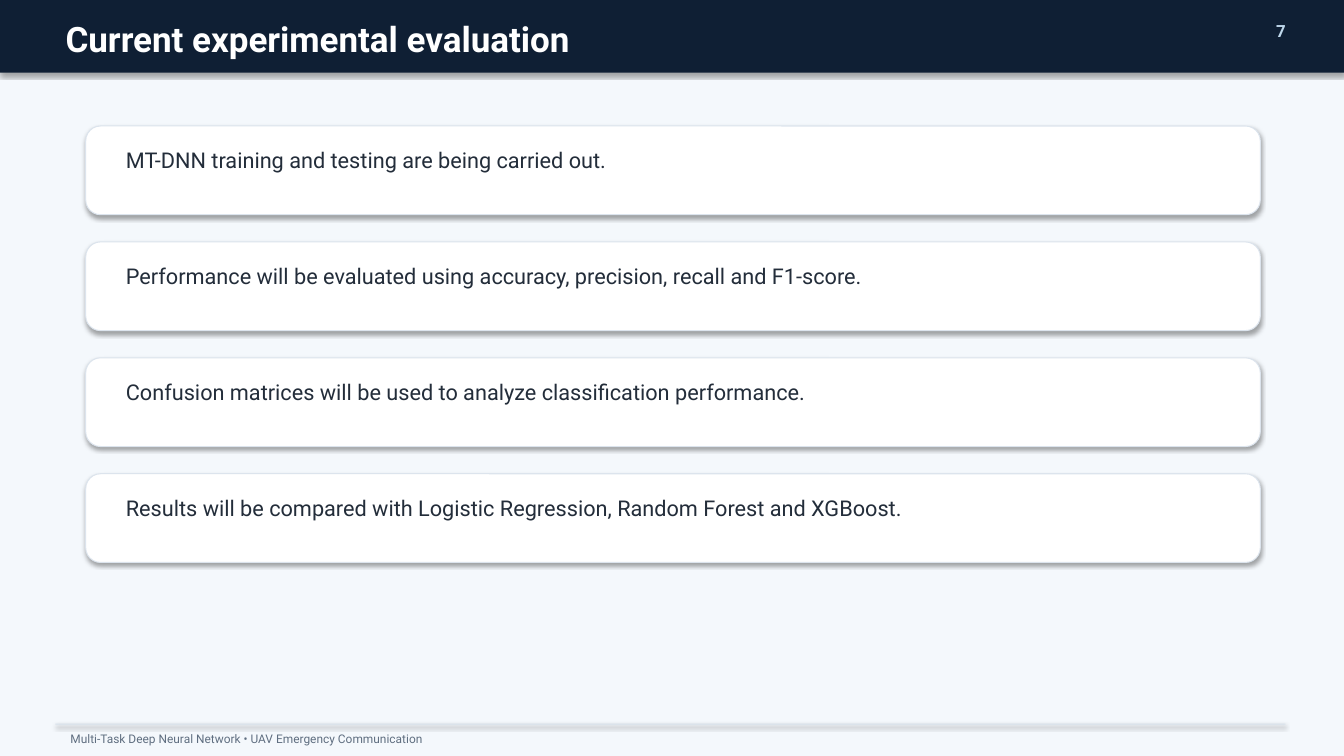
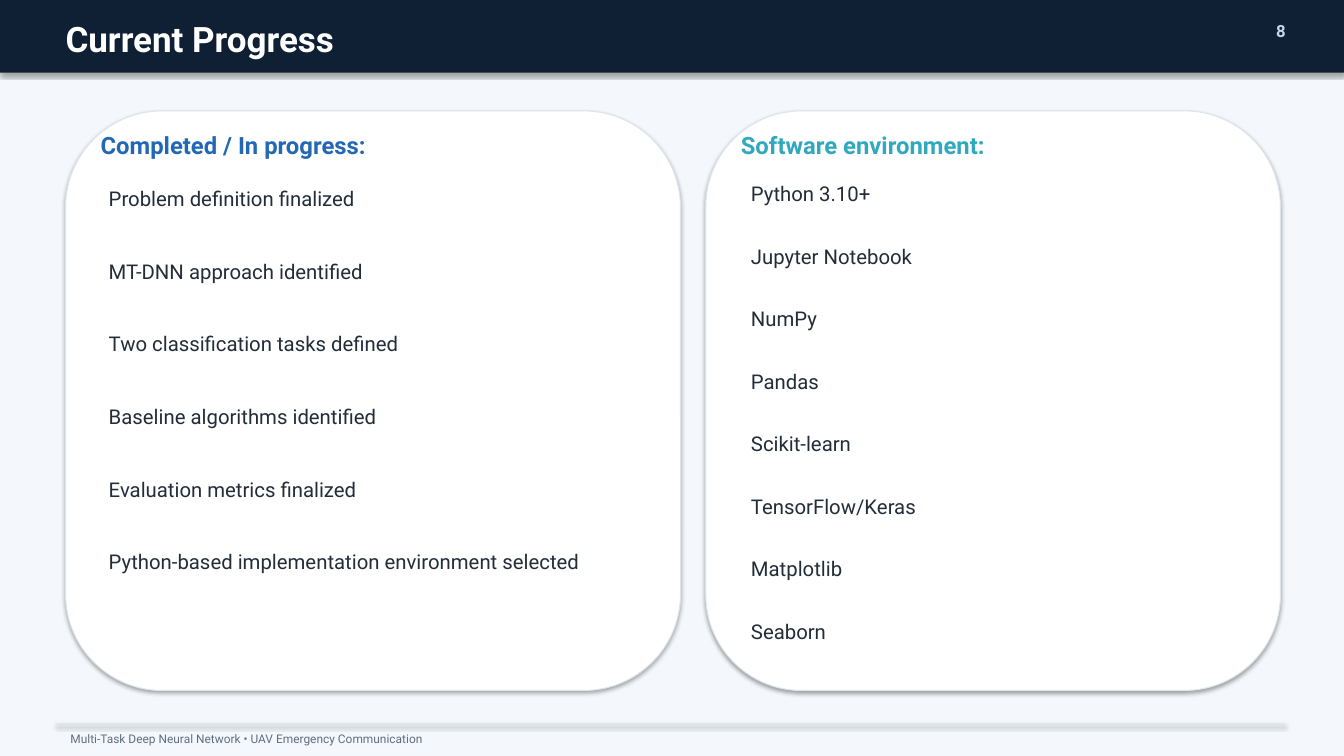
from dataclasses import dataclass

from pptx import Presentation
from pptx.dml.color import RGBColor
from pptx.enum.shapes import MSO_SHAPE
from pptx.enum.text import MSO_ANCHOR, MSO_AUTO_SIZE, PP_ALIGN
from pptx.shapes.autoshape import Shape
from pptx.slide import Slide
from pptx.util import Inches, Pt

RECTANGLE = MSO_SHAPE.RECTANGLE
ROUNDED = MSO_SHAPE.ROUNDED_RECTANGLE
TOP = MSO_ANCHOR.TOP
FIT_SHAPE = MSO_AUTO_SIZE.SHAPE_TO_FIT_TEXT
LEFT, RIGHT = PP_ALIGN.LEFT, PP_ALIGN.RIGHT

FONT = "Roboto"
PAPER, NAVY, WHITE = "F4F8FC", "0F1F34", "FFFFFF"
INK, MUTED, PALE_BLUE = "232D3A", "5F6E80", "BED7EB"
RULE, CARD_EDGE = "D7E1EB", "DCE4ED"
BLUE, TEAL = "2268B4", "30A8BE"

WIDTH, HEIGHT = 13.33, 7.5
TITLE_ONLY = 5
FOOTER = "Multi-Task Deep Neural Network • UAV Emergency Communication"


@dataclass(frozen=True)
class Area:
    left: float
    top: float
    width: float
    height: float


@dataclass(frozen=True)
class TextStyle:
    size: float
    color: str
    bold: bool = False
    align: PP_ALIGN = LEFT


@dataclass(frozen=True)
class Panel:
    card: Area
    heading: str
    accent: str
    first_item: Area
    pitch: float
    items: tuple[str, ...]


TITLE_STYLE = TextStyle(25, WHITE, bold=True)
NUMBER_STYLE = TextStyle(12, PALE_BLUE, bold=True, align=RIGHT)
FOOTER_STYLE = TextStyle(8.5, MUTED)
STATEMENT_STYLE = TextStyle(15.5, INK)
ITEM_STYLE = TextStyle(14.5, INK)

STATEMENTS = (
    "MT-DNN training and testing are being carried out.",
    "Performance will be evaluated using accuracy, precision, recall and F1-score.",
    "Confusion matrices will be used to analyze classification performance.",
    "Results will be compared with Logistic Regression, Random Forest and XGBoost.",
)

PANELS = (
    Panel(
        Area(0.65, 1.1, 6.1, 5.75), "Completed / In progress:", BLUE,
        Area(0.98, 1.8, 5.45, 0.48), 0.72,
        (
            "Problem definition finalized",
            "MT-DNN approach identified",
            "Two classification tasks defined",
            "Baseline algorithms identified",
            "Evaluation metrics finalized",
            "Python-based implementation environment selected",
        ),
    ),
    Panel(
        Area(7, 1.1, 5.7, 5.75), "Software environment:", TEAL,
        Area(7.35, 1.75, 4.9, 0.42), 0.62,
        (
            "Python 3.10+",
            "Jupyter Notebook",
            "NumPy",
            "Pandas",
            "Scikit-learn",
            "TensorFlow/Keras",
            "Matplotlib",
            "Seaborn",
        ),
    ),
)


def rgb(color: str) -> RGBColor:
    return RGBColor.from_string(color)


def place(shape: Shape, area: Area) -> None:
    shape.left, shape.top = Inches(area.left), Inches(area.top)
    shape.width, shape.height = Inches(area.width), Inches(area.height)


def write(box: Shape, text: str, style: TextStyle) -> None:
    frame = box.text_frame
    frame.text = text
    frame.word_wrap = True
    frame.auto_size = FIT_SHAPE
    frame.vertical_anchor = TOP
    para = frame.paragraphs[0]
    para.alignment = style.align
    para.font.name = FONT
    para.font.size = Pt(style.size)
    para.font.bold = style.bold
    para.font.color.rgb = rgb(style.color)


def add_text(page: Slide, area: Area, text: str, style: TextStyle) -> None:
    box = page.shapes.add_textbox(0, 0, 0, 0)
    place(box, area)
    write(box, text, style)


def add_block(page: Slide, kind: MSO_SHAPE, area: Area, fill: str, edge: str | None = None) -> Shape:
    """Add a filled shape that keeps the theme's soft shadow."""
    block = page.shapes.add_shape(kind, 0, 0, 0, 0)
    place(block, area)
    block.fill.solid()
    block.fill.fore_color.rgb = rgb(fill)
    if edge:
        block.line.color.rgb = rgb(edge)
        block.line.width = Pt(0.75)
    else:
        block.line.fill.background()
    return block


def add_card(page: Slide, area: Area) -> None:
    add_block(page, ROUNDED, area, WHITE, CARD_EDGE)


def add_page(deck: Presentation, title: str, number: int) -> Slide:
    """Add a slide with the shared title band, page number and footer."""
    page = deck.slides.add_slide(deck.slide_layouts[TITLE_ONLY])
    band = add_block(page, RECTANGLE, Area(0, 0, WIDTH, 0.72), NAVY)
    heading = page.shapes.title
    place(heading, Area(0.55, 0.12, 11.5, 0.42))
    write(heading, title, TITLE_STYLE)
    band._element.addnext(heading._element)  # the title sits above its band
    add_text(page, Area(12.35, 0.16, 0.5, 0.3), str(number), NUMBER_STYLE)
    add_block(page, RECTANGLE, Area(0.55, 7.18, 12.2, 0.01), RULE)
    add_text(page, Area(0.6, 7.21, 12, 0.2), FOOTER, FOOTER_STYLE)
    return page


def add_statements(page: Slide) -> None:
    for index, statement in enumerate(STATEMENTS):
        top = 1.25 + index * 1.15
        add_card(page, Area(0.85, top, 11.65, 0.88))
        add_text(page, Area(1.15, top + 0.16, 11.05, 0.58), statement, STATEMENT_STYLE)


def add_panel(page: Slide, panel: Panel) -> None:
    card, first = panel.card, panel.first_item
    add_card(page, card)
    heading_area = Area(card.left + 0.25, card.top + 0.15, card.width - 0.5, 0.35)
    add_text(page, heading_area, panel.heading, TextStyle(17, panel.accent, bold=True))
    for index, item in enumerate(panel.items):
        area = Area(first.left, first.top + index * panel.pitch, first.width, first.height)
        add_text(page, area, item, ITEM_STYLE)


def main() -> None:
    deck = Presentation()
    deck.slide_width, deck.slide_height = Inches(WIDTH), Inches(HEIGHT)
    background = deck.slide_master.background.fill
    background.solid()
    background.fore_color.rgb = rgb(PAPER)

    add_statements(add_page(deck, "Current experimental evaluation", 7))

    progress = add_page(deck, "Current Progress", 8)
    for panel in PANELS:
        add_panel(progress, panel)

    deck.save("out.pptx")


if __name__ == "__main__":
    main()
